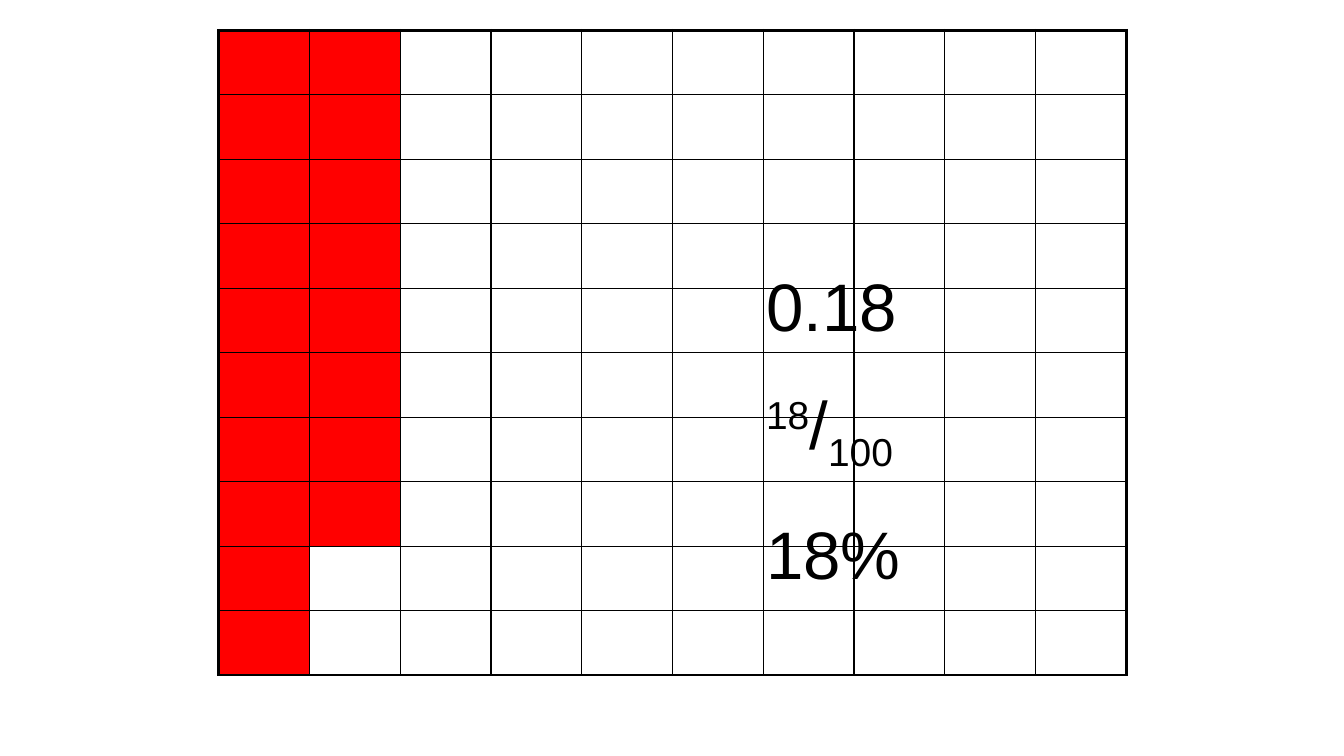
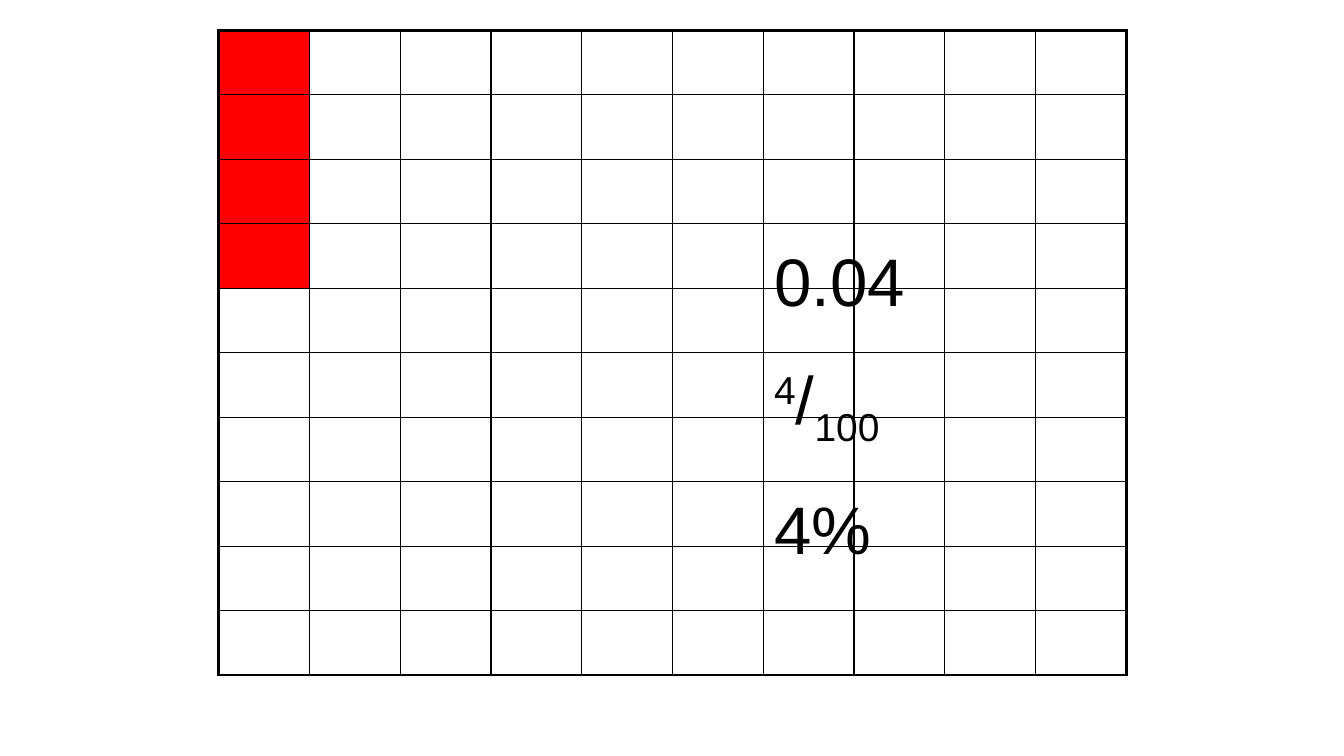
from dataclasses import dataclass

from lxml.etree import SubElement
from pptx import Presentation
from pptx.dml.color import RGBColor
from pptx.enum.text import MSO_AUTO_SIZE
from pptx.oxml.ns import qn
from pptx.util import Inches, Pt

COLOURS = {"ink": "000000", "shaded": "FF0000"}
FONT = "Arial"
SLIDE_W, SLIDE_H = 13.33, 7.5

# Hundred grid: ten by ten cells, centred across the slide
GRID_SIDE = 10
CELL_W, CELL_H = 0.9, 0.64
GRID_LEFT = round((SLIDE_W - GRID_SIDE * CELL_W) / 2, 2)
GRID_TOP = 0.3
INNER_LINE, OUTER_LINE = 1, 2.25


@dataclass(frozen=True)
class HundredGrid:
    hundredths: int
    answers_left: float
    answers_top: float
    answers_width: float
    answers_height: float = 3.3


GRIDS = [
    HundredGrid(18, answers_left=7.5, answers_top=2.5, answers_width=3.33),
    HundredGrid(4, answers_left=7.58, answers_top=2.25, answers_width=3.08),
]


def add_run(paragraph, text: str, *, size: float = 48, colour: str = "ink",
            baseline: int = 0) -> None:
    """Add formatted text; baseline is a percentage, raised or lowered."""
    run = paragraph.add_run()
    run.text = text
    run.font.name = FONT
    run.font.size = Pt(size)
    run.font.color.rgb = RGBColor.from_string(COLOURS[colour])
    if baseline:
        run.font._element.set("baseline", str(baseline * 1000))


def set_borders(cell, row: int, column: int) -> None:
    """Draw a heavy line on the grid's edge and a thin one inside it."""
    last = GRID_SIDE - 1
    on_edge = {"lnL": column == 0, "lnR": column == last,
               "lnT": row == 0, "lnB": row == last}
    properties = cell._tc.get_or_add_tcPr()
    for side, is_outer in on_edge.items():
        width = Pt(OUTER_LINE if is_outer else INNER_LINE)
        border = SubElement(properties, qn(f"a:{side}"), w=str(int(width)))
        fill = SubElement(border, qn("a:solidFill"))
        SubElement(fill, qn("a:srgbClr"), val=COLOURS["ink"])


def add_grid(slide, grid: HundredGrid) -> None:
    """Shade the hundredths column by column, from the top left."""
    table = slide.shapes.add_table(
        GRID_SIDE, GRID_SIDE, Inches(GRID_LEFT), Inches(GRID_TOP),
        Inches(GRID_SIDE * CELL_W), Inches(GRID_SIDE * CELL_H)).table
    table.first_row = table.horz_banding = False
    for grid_column in table.columns:
        grid_column.width = Inches(CELL_W)
    for grid_row in table.rows:
        grid_row.height = Inches(CELL_H)
    for position in range(GRID_SIDE ** 2):
        column, row = divmod(position, GRID_SIDE)
        cell = table.cell(row, column)
        set_borders(cell, row, column)
        if position < grid.hundredths:
            cell.fill.solid()
            cell.fill.fore_color.rgb = RGBColor.from_string(COLOURS["shaded"])
        else:
            cell.fill.background()


def add_answers(slide, grid: HundredGrid) -> None:
    """Write the shaded share as a decimal, a fraction and a percentage."""
    answers = slide.shapes.add_textbox(
        Inches(grid.answers_left), Inches(grid.answers_top),
        Inches(grid.answers_width), Inches(grid.answers_height)).text_frame
    answers.word_wrap = True
    answers.auto_size = MSO_AUTO_SIZE.SHAPE_TO_FIT_TEXT
    answers.margin_top, answers.margin_bottom = Inches(0.12), Inches(0.02)

    decimal = answers.paragraphs[0]
    fraction, percentage = answers.add_paragraph(), answers.add_paragraph()
    fraction.space_before = percentage.space_before = Pt(27)

    add_run(decimal, f"{grid.hundredths / 100:.2f}")
    add_run(fraction, str(grid.hundredths), baseline=30)
    add_run(fraction, "/")
    add_run(fraction, "100", baseline=-25)
    add_run(percentage, f"{grid.hundredths}%")


def main() -> None:
    presentation = Presentation()
    presentation.slide_width = Inches(SLIDE_W)
    presentation.slide_height = Inches(SLIDE_H)
    blank_layout = presentation.slide_layouts[6]
    for grid in GRIDS:
        slide = presentation.slides.add_slide(blank_layout)
        add_grid(slide, grid)
        add_answers(slide, grid)
    presentation.save("out.pptx")


if __name__ == "__main__":
    main()
